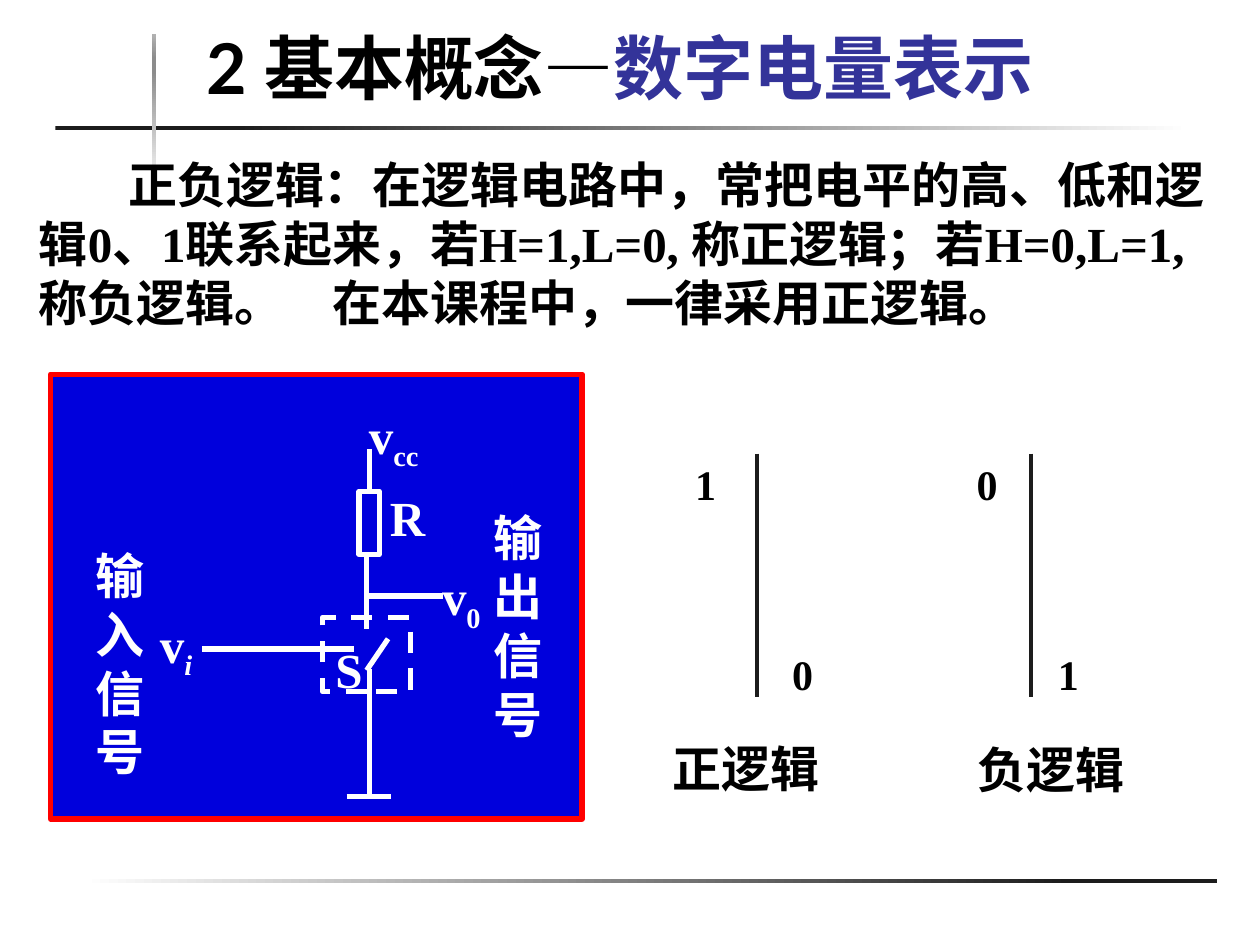
"""Build the slide on positive and negative logic levels."""
from dataclasses import dataclass

from lxml import etree
from pptx import Presentation
from pptx.dml.color import RGBColor
from pptx.enum.dml import MSO_LINE
from pptx.enum.shapes import MSO_CONNECTOR, MSO_SHAPE
from pptx.enum.text import MSO_ANCHOR, MSO_AUTO_SIZE, PP_ALIGN
from pptx.oxml.ns import qn
from pptx.util import Pt

PX = 9144
RECT, LINE = MSO_SHAPE.RECTANGLE, MSO_CONNECTOR.STRAIGHT
DASH = MSO_LINE.DASH
LEFT, MID = PP_ALIGN.LEFT, PP_ALIGN.CENTER
LOW, TOP = MSO_ANCHOR.BOTTOM, MSO_ANCHOR.TOP
GROW, FIXED = MSO_AUTO_SIZE.SHAPE_TO_FIT_TEXT, MSO_AUTO_SIZE.NONE


@dataclass(frozen=True)
class Theme:
    """Colours, faces and type sizes of the slide."""
    ink: str = "000000"
    dark: str = "1C1C1C"
    white: str = "FFFFFF"
    pale: str = "F2F2F2"
    gray: str = "8C8C8C"
    ash: str = "B2B2B2"
    blue: str = "0000DC"
    red: str = "FF0000"
    accent: str = "333399"
    serif: str = "Times New Roman"
    sans: str = "Lato"
    head: int = 40
    body: int = 28
    digit: int = 24
    thick: float = 3
    thin: float = 2.25


def put(para, text, *, size, color, face, slant=False, drop=0):
    """Add a bold run of text to a paragraph."""
    run = para.add_run()
    run.text = text
    font = run.font
    font.size, font.name, font.bold = Pt(size), face, True
    font.color.rgb = RGBColor.from_string(color)
    if slant:
        font.italic = True
    if drop:
        run._r.get_or_add_rPr().set("baseline", str(-1000 * drop))


class Board:
    """Holds the theme and the current slide."""

    def __init__(self, slide, theme):
        """Keep the slide and its theme."""
        self.slide, self.theme = slide, theme

    def title(self, box, parts, indent):
        """Fill the title placeholder with coloured parts."""
        shape = self.slide.shapes.title
        shape.left, shape.top, shape.width, shape.height = (v * PX for v in box)
        frame = shape.text_frame
        frame.auto_size, frame.vertical_anchor = FIXED, LOW
        para = frame.paragraphs[0]
        para.alignment = LEFT
        para._p.get_or_add_pPr().set("indent", str(indent * PX))
        for text, color in parts:
            put(para, text, size=self.theme.head, color=color, face=self.theme.sans)

    def text(self, box, text, color, size=None, align=MID, indent=0, sub="", slant=False):
        """Add a wrapped text box with an optional subscript."""
        frame = self.slide.shapes.add_textbox(*(v * PX for v in box)).text_frame
        frame.word_wrap, frame.auto_size, frame.vertical_anchor = True, GROW, TOP
        para = frame.paragraphs[0]
        para.alignment = align
        if indent:
            para._p.get_or_add_pPr().set("indent", str(indent * PX))
        form = {"size": size or self.theme.body, "color": color, "face": self.theme.serif}
        put(para, text, **form)
        if sub:
            put(para, sub, slant=slant, drop=25, **form)

    def rect(self, box, line=None, fill=None, dash=None):
        """Add a plain rectangle."""
        shape = self.slide.shapes.add_shape(RECT, *(v * PX for v in box))
        shape.shadow.inherit = False
        if fill:
            shape.fill.solid()
            shape.fill.fore_color.rgb = RGBColor.from_string(fill)
        else:
            shape.fill.background()
        if line:
            self.pen(shape.line, line, self.theme.thick, dash)
        else:
            shape.line.fill.background()
        return shape

    def fade(self, box, stops, angle=0):
        """Add a bar with a gradient of (percent, colour) stops."""
        shape = self.rect(box)
        shape.fill.gradient()
        shape.fill.gradient_angle = angle
        chain = shape._element.spPr.find(".//" + qn("a:gsLst"))
        for stop in list(chain):
            chain.remove(stop)
        for place, color in stops:
            stop = etree.SubElement(chain, qn("a:gs"), pos=str(place * 1000))
            etree.SubElement(stop, qn("a:srgbClr"), val=color)

    def wire(self, ends, color, width, dash=None):
        """Add a straight connector between two points."""
        wire = self.slide.shapes.add_connector(LINE, *(v * PX for v in ends))
        etree.SubElement(wire._element.spPr, qn("a:effectLst"))
        self.pen(wire.line, color, width, dash)
        return wire

    def pen(self, line, color, width, dash):
        """Set colour, width and dash of a line."""
        line.color.rgb = RGBColor.from_string(color)
        line.width = Pt(width)
        if dash:
            line.dash_style = dash


def frame(board):
    """Draw the bars, the title and the main text."""
    look = board.theme
    board.fade((66, 698, 900, 3), [(0, look.white), (87, look.dark)])
    board.fade((44, 100, 900, 3), [(16, look.dark), (100, look.white)])
    board.fade((121, 27, 3, 115),
               [(0, look.pale), (74, look.gray), (83, look.gray), (100, look.ash)], 90)
    board.title((145, 33, 781, 58),
                [("2 基本概念—", look.ink), ("数字电量表示", look.accent)], 9)
    board.text((21, 118, 958, 151),
               "正负逻辑：在逻辑电路中，常把电平的高、低和逻辑0、1联系起来，"
               "若H=1,L=0, 称正逻辑；若H=0,L=1, 称负逻辑。　在本课程中，一律采用正逻辑。",
               look.ink, align=LEFT, indent=71)


def levels(board):
    """Draw the two level scales."""
    look = board.theme
    scales = [
        (601, ("1", 538, 44), ("0", 615, 44), ("正逻辑", 521, 581, 142)),
        (818, ("0", 761, 45), ("1", 825, 46), ("负逻辑", 761, 582, 146)),
    ]
    for x, high, low, (name, left, top, wide) in scales:
        board.wire((x, 360, x, 553), look.dark, look.thin)
        for (digit, side, width), y in ((high, 359), (low, 510)):
            board.text((side, y, width, 50), digit, look.ink, look.digit)
        board.text((left, top, wide, 57), name, look.ink)


def circuit(board):
    """Draw the switch circuit with its labels."""
    look = board.theme
    board.rect((40, 297, 422, 353), look.red, look.blue)
    board.rect((256, 490, 70, 59), look.white, dash=DASH)
    wires = [
        (275, 632, 310, 632), (293, 531, 293, 632), (291, 532, 308, 507),
        (291, 499, 291, 440), (291, 473, 352, 473), (264, 515, 160, 515),
    ]
    for ends in wires:
        board.wire(ends, look.white, look.thick)
    board.wire((264, 515, 291, 515), look.white, look.thick, DASH)
    load = board.rect((285, 390, 16, 50), look.white)
    feed = board.wire((293, 390, 293, 356), look.white, look.thick)
    feed.begin_connect(load, 0)
    labels = [
        ("S", (252, 503, 50, 57)), ("R", (298, 382, 51, 57)),
        ("输出信号", (380, 398, 63, 197)), ("输入信号", (62, 428, 67, 197)),
    ]
    for name, box in labels:
        board.text(box, name, look.white)
    for sub, x, y in (("i", 117, 483), ("0", 341, 445), ("cc", 283, 317)):
        board.text((x, y, 79, 57), "v", look.white, align=LEFT, sub=sub, slant=sub == "i")


def main():
    """Build and save the deck."""
    deck = Presentation()
    deck.slide_width, deck.slide_height = 1000 * PX, 750 * PX
    board = Board(deck.slides.add_slide(deck.slide_layouts[5]), Theme())
    frame(board)
    levels(board)
    circuit(board)
    deck.save("out.pptx")


if __name__ == "__main__":
    main()
